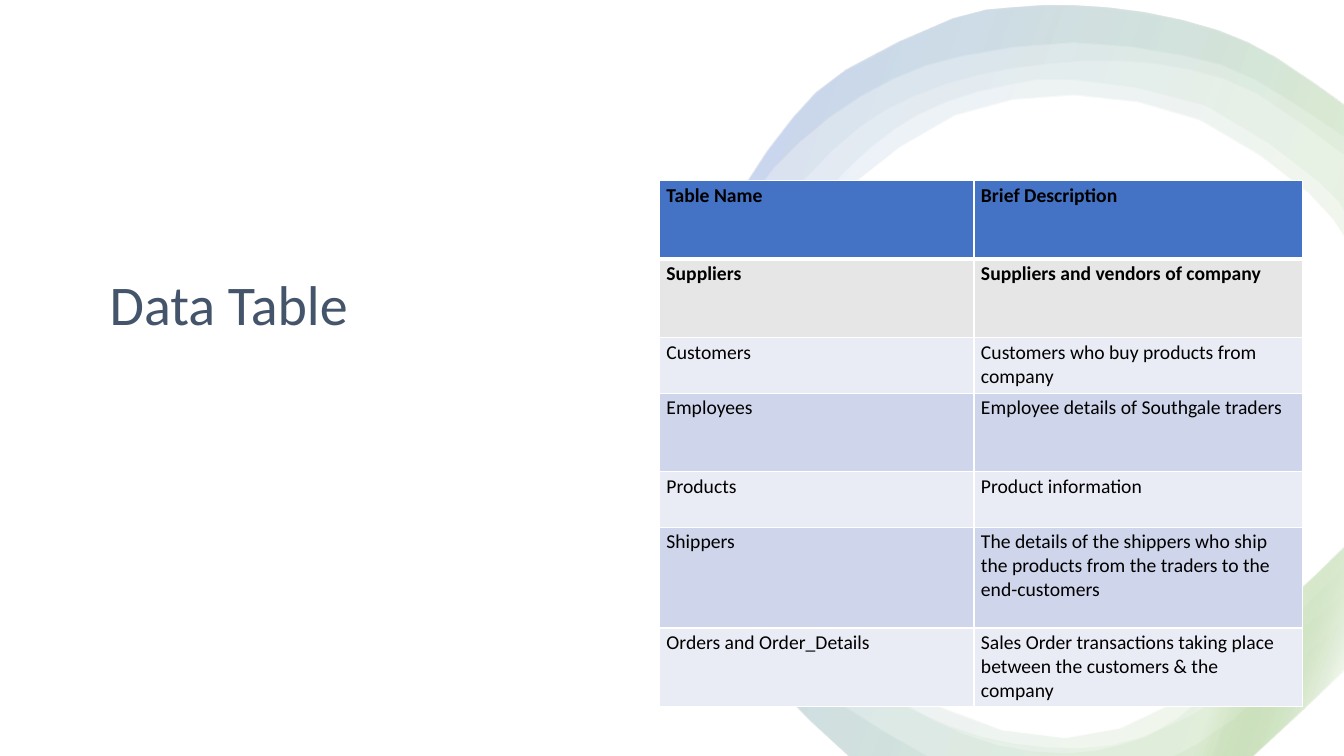
from pptx import Presentation
from pptx.dml.color import RGBColor
from pptx.enum.shapes import MSO_SHAPE
from pptx.enum.text import MSO_ANCHOR
from pptx.oxml import parse_xml
from pptx.oxml.ns import nsdecls
from pptx.util import Inches, Pt

RECTANGLE = MSO_SHAPE.RECTANGLE
TOP = MSO_ANCHOR.TOP
FONT = "Calibri"
WIDTH, HEIGHT = 13.33, 7.5
STEPS = 2

OUTER_EDGE = [
    (13.33, 6.64), (12.42, 7.5), (12.3, 7.5), (8.55, 7.5), (8.42, 7.5),
    (7.61, 6.71), (7.06, 5.96), (6.77, 5.24), (6.67, 4.48), (6.81, 3.74),
    (7.05, 3.01), (7.22, 2.27), (7.4, 1.83), (7.87, 1.17), (8.39, 0.7),
    (9.45, 0.19), (10.05, 0.08), (10.65, 0.06), (11.35, 0.13), (12.08, 0.31),
    (12.65, 0.58), (13.33, 1.05)]
MIDDLE_EDGE = [
    (13.33, 2.11), (13.07, 1.81), (11.96, 1.06), (10.65, 0.8), (10, 0.85), (9.38, 1.02),
    (8.87, 1.29), (8.39, 1.7), (8.06, 2.14), (7.89, 2.69), (7.5, 4),
    (7.41, 4.56), (7.51, 5.13), (8.16, 6.22), (8.69, 6.77), (9.25, 7.14),
    (9.9, 7.39), (10.56, 7.47), (11.13, 7.38), (11.66, 7.13), (12.72, 6.21), (13.33, 5.62)]
NARROW_EDGE = [
    (13.33, 1.55), (12.47, 0.94), (11.8, 0.7), (11.1, 0.61), (10.4, 0.64),
    (9.71, 0.75), (9.07, 0.96), (8.54, 1.26), (7.98, 1.79), (7.72, 2.29), (7.52, 3.09),
    (7.29, 3.8), (7.17, 4.43), (7.27, 5.08), (7.55, 5.7), (7.95, 6.27), (8.49, 6.73),
    (9.1, 7.06), (9.72, 7.3), (10.37, 7.41), (11.01, 7.39), (11.61, 7.19),
    (12.17, 6.85), (13.33, 5.88)]
WIDE_EDGE = [
    (13.33, 2.36), (12.97, 1.92), (11.9, 1.2), (10.65, 0.95), (9.47, 1.15), (8.5, 1.8),
    (8.19, 2.21), (8.03, 2.73), (7.64, 4.05), (7.56, 4.56), (7.65, 5.08),
    (8.27, 6.12), (9.32, 7.01), (10.56, 7.32), (11.62, 6.98), (12.61, 6.11), (13.33, 5.42)]
THIN_EDGE = [
    (13.33, 1.37), (12.45, 0.8), (11.74, 0.56), (10.64, 0.43),
    (9.55, 0.56), (8.86, 0.79), (8.23, 1.17), (7.68, 1.67), (7.39, 2.13),
    (7.16, 2.85), (6.86, 3.75), (6.74, 4.48), (6.88, 5.21), (7.23, 5.86), (7.71, 6.43),
    (8.26, 6.93), (9.2, 7.5), (9.3, 7.5), (11.5, 7.5), (11.63, 7.5),
    (12.23, 7.13), (13.33, 6.15)]

BANDS = [
    (MIDDLE_EDGE, (10, 5, 5, 10)),
    (NARROW_EDGE, (10, 5, 5, 10)),
    (WIDE_EDGE, (100, 10, 10, 100)),
    (THIN_EDGE, (10, 5, 10, 10))]
STOPS = [(2, "FFFFFF"), (16, "70AD47"), (85, "4472C4"), (100, "FFFFFF")]

ROWS = [
    ("Table Name", "Brief Description", 0.78, "4472C4"),
    ("Suppliers", "Suppliers and vendors of company", 0.78, "E7E6E6"),
    ("Customers", "Customers who buy products from company", 0.55, "E9EBF5"),
    ("Employees", "Employee details of Southgale traders", 0.78, "CFD5EA"),
    ("Products", "Product information", 0.55, "E9EBF5"),
    ("Shippers", "The details of the shippers who ship the products from the traders "
     "to the end-customers", 1, "CFD5EA"),
    ("Orders and Order_Details", "Sales Order transactions taking place between the "
     "customers & the company", 0.78, "E9EBF5")]
COLUMN_WIDTHS = (3.12, 3.26)


def color(value):
    return RGBColor.from_string(value)


def style(para, size, hue, bold=False):
    para.font.name = FONT
    para.font.size = Pt(size)
    para.font.bold = bold
    para.font.color.rgb = color(hue)


def smooth(points):
    padded = [points[0], *points, points[-1]]
    curve = [points[0]]
    for before, start, end, after in zip(padded, padded[1:], padded[2:], padded[3:]):
        for step in range(1, STEPS + 1):
            t = step / STEPS
            x, y = (
                b + (c - a) * t / 2 + (a - 2.5 * b + 2 * c - d / 2) * t ** 2
                + (3 * b - a - 3 * c + d) * t ** 3 / 2
                for a, b, c, d in zip(before, start, end, after))
            curve.append((min(x, WIDTH), min(y, HEIGHT)))
    return curve


def add_background(page):
    box = page.shapes.add_shape(RECTANGLE, 0, 0, Inches(WIDTH), Inches(HEIGHT))
    box.shadow.inherit = False
    box.fill.solid()
    box.fill.fore_color.rgb = color("FFFFFF")
    box.line.fill.background()


def add_band(group, inner_edge, opacities):
    outline = [(Inches(x), Inches(y)) for x, y in smooth(inner_edge) + smooth(OUTER_EDGE)]
    builder = group.shapes.build_freeform(*outline[0])
    builder.add_line_segments(outline[1:], close=True)
    band = builder.convert_to_shape()
    band.shadow.inherit = False
    band.line.fill.background()
    stops = "".join(
        f'<a:gs pos="{position * 1000}"><a:srgbClr val="{hue}">'
        f'<a:alpha val="{opacity * 1000}"/></a:srgbClr></a:gs>'
        for (position, hue), opacity in zip(STOPS, opacities))
    gradient = parse_xml(
        f'<a:gradFill {nsdecls("a")} rotWithShape="1"><a:gsLst>{stops}</a:gsLst>'
        f'<a:lin ang="{200 * 60000}" scaled="0"/></a:gradFill>')
    band.element.spPr.insert(2, gradient)


def add_title(page, text):
    box = page.shapes.add_textbox(Inches(0.99), Inches(2.7), Inches(5.26), Inches(1.42))
    box.text_frame.word_wrap = True
    box.text_frame.vertical_anchor = TOP
    para = box.text_frame.paragraphs[0]
    para.text = text
    para.line_spacing = 0.9
    para.space_after = Pt(6)
    style(para, 40, "44546A")


def add_border(cell, side, width):
    line = parse_xml(
        f'<a:{side} {nsdecls("a")} w="{Pt(width)}"><a:solidFill>'
        f'<a:srgbClr val="FFFFFF"/></a:solidFill></a:{side}>')
    cell._tc.get_or_add_tcPr().append(line)


def fill_cell(cell, text, row, fill):
    cell.margin_left = cell.margin_right = Inches(0.07)
    cell.margin_top = cell.margin_bottom = Inches(0.03)
    widths = {"lnL": 1, "lnR": 1, "lnT": 3 if row == 1 else 1, "lnB": 3 if row == 0 else 1}
    for side, width in widths.items():
        add_border(cell, side, width)
    cell.fill.solid()
    cell.fill.fore_color.rgb = color(fill)
    para = cell.text_frame.paragraphs[0]
    para.text = text
    style(para, 14, "000000", bold=row < 2)


def add_data_table(page):
    table = page.shapes.add_table(
        len(ROWS), len(COLUMN_WIDTHS), Inches(6.54), Inches(1.79),
        Inches(sum(COLUMN_WIDTHS)), Inches(5.22)).table
    for column, width in zip(table.columns, COLUMN_WIDTHS):
        column.width = Inches(width)
    for row, (name, description, height, fill) in enumerate(ROWS):
        table.rows[row].height = Inches(height)
        for column, text in enumerate((name, description)):
            fill_cell(table.cell(row, column), text, row, fill)


def main():
    deck = Presentation()
    deck.slide_width = Inches(WIDTH)
    deck.slide_height = Inches(HEIGHT)
    page = deck.slides.add_slide(deck.slide_layouts[6])
    add_background(page)
    add_title(page, "Data Table")
    swirl = page.shapes.add_group_shape()
    for inner_edge, opacities in BANDS:
        add_band(swirl, inner_edge, opacities)
    add_data_table(page)
    deck.save("out.pptx")


if __name__ == "__main__":
    main()
